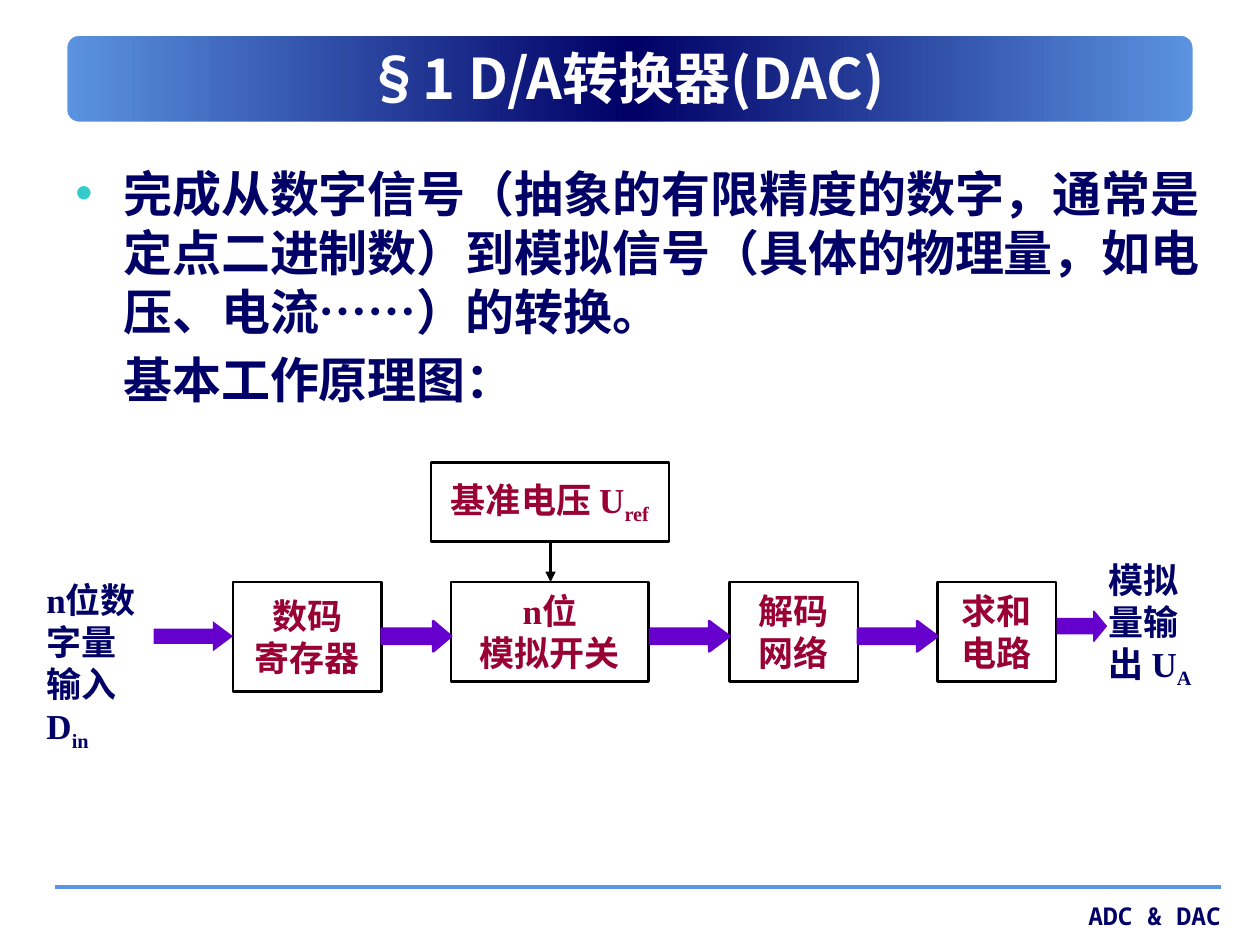
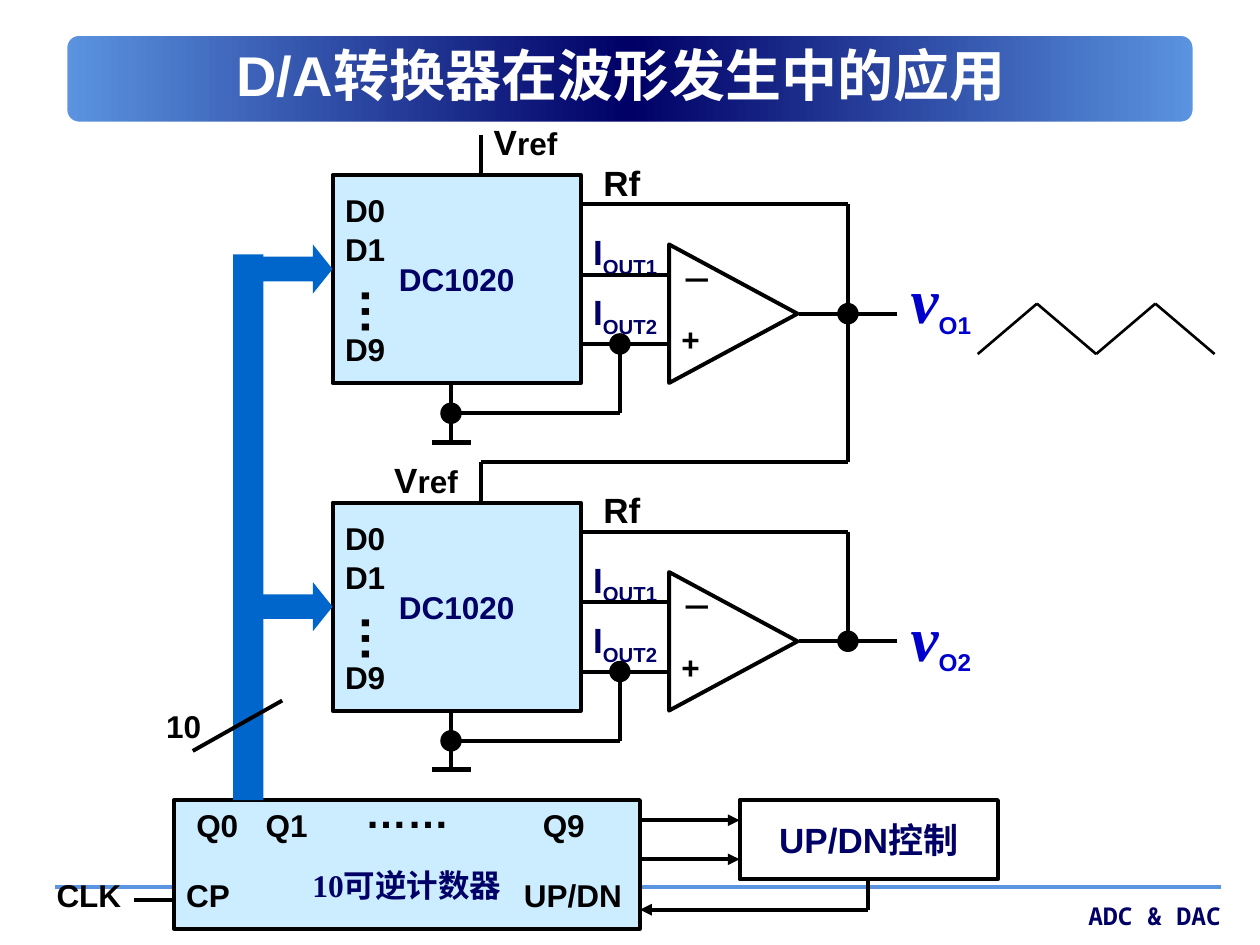
"""Builds two slides about D/A converters: working principle and waveform generation."""
from copy import deepcopy
from itertools import pairwise

from lxml.etree import SubElement
from pptx import Presentation
from pptx.dml.color import RGBColor
from pptx.enum.shapes import MSO_CONNECTOR, MSO_SHAPE
from pptx.enum.text import MSO_ANCHOR, MSO_AUTO_SIZE, PP_ALIGN
from pptx.oxml.ns import qn
from pptx.util import Inches, Pt

COLORS = {
    "navy": "000066",
    "sky": "5B94E1",
    "white": "FFFFFF",
    "black": "000000",
    "bullet": "33CCCC",
    "crimson": "990033",
    "violet": "6600CC",
    "chip": "CCECFF",
    "bus": "0066CC",
    "output": "0000CC",
}
CHINESE_FONT = "Noto Sans CJK SC"
STAGE_STEP = 2.6


def rgb(name):
    return RGBColor.from_string(COLORS[name])


def add_run(paragraph, text, size=18, font="Arial", color="black", italic=False,
            baseline=0, east_asian=CHINESE_FONT):
    run = paragraph.add_run()
    run.text = text
    run.font.size = Pt(size)
    run.font.bold = True
    run.font.italic = italic
    run.font.name = font
    run.font.color.rgb = rgb(color)
    properties = run.font._element
    SubElement(properties, qn("a:ea")).set("typeface", east_asian)
    if baseline:
        properties.set("baseline", str(baseline * 1000))


def write_text(paragraph, text, *more, align=PP_ALIGN.LEFT, **style):
    """Write text and further (text, changes) pieces; a newline breaks the line."""
    paragraph.alignment = align
    for piece, changes in [(text, {}), *more]:
        for index, line in enumerate(piece.split("\n")):
            if index:
                paragraph.add_line_break()
            add_run(paragraph, line, **{**style, **changes})


def add_label(slide, box, text, *more, vertical=False, **style):
    shape = slide.shapes.add_textbox(*map(Inches, box))
    frame = shape.text_frame
    frame.word_wrap = True
    if vertical:
        shape.element.find(".//" + qn("a:bodyPr")).set("vert", "eaVert")
    write_text(frame.paragraphs[0], text, *more, **style)
    return shape


def add_shape(slide, kind, box, fill=None, line=None, width=1.5, adjust=()):
    shape = slide.shapes.add_shape(kind, *map(Inches, box))
    shape.shadow.inherit = False
    if fill:
        shape.fill.solid()
        shape.fill.fore_color.rgb = rgb(fill)
    else:
        shape.fill.background()
    if line:
        shape.line.color.rgb = rgb(line)
        shape.line.width = Pt(width)
    else:
        shape.line.fill.background()
    for index, value in enumerate(adjust):
        shape.adjustments[index] = value
    return shape


def add_block(slide, box, text, *more, fill=None, width=1.5, wrap=True, top=0.05, **style):
    shape = add_shape(slide, MSO_SHAPE.RECTANGLE, box, fill, "black", width)
    frame = shape.text_frame
    frame.word_wrap = wrap
    frame.vertical_anchor = MSO_ANCHOR.MIDDLE
    frame.margin_left = frame.margin_right = 0
    frame.margin_top = Inches(top)
    write_text(frame.paragraphs[0], text, *more, align=PP_ALIGN.CENTER, **style)


def add_arrow(slide, box, color, head, width=0):
    add_shape(slide, MSO_SHAPE.RIGHT_ARROW, box, color, color if width else None,
              width, (0.5, head))


def add_wire(slide, *points, width=2.25, color="black", arrow=False):
    """Join the points with straight lines, the last one with an arrowhead if asked."""
    for start, end in pairwise(points):
        wire = slide.shapes.add_connector(
            MSO_CONNECTOR.STRAIGHT, *map(Inches, (*start, *end)))
        wire.line.color.rgb = rgb(color)
        wire.line.width = Pt(width)
        properties = wire.element.find(qn("p:spPr"))
        if arrow and end == points[-1]:
            SubElement(properties.find(qn("a:ln")), qn("a:tailEnd")).set("type", "triangle")
        SubElement(properties, qn("a:effectLst"))
    return wire


def add_dot(slide, x, y):
    add_shape(slide, MSO_SHAPE.OVAL, (x - 0.08, y - 0.08, 0.16, 0.16), "black", "black", 0.75)


def move_frame_to_layout(slide, layout):
    """Draw the title band, rule and footer, then move them to the shared layout."""
    band = add_shape(slide, MSO_SHAPE.ROUNDED_RECTANGLE, (0.5, 0.25, 9, 0.75),
                     line="white", width=5, adjust=(0.167,))
    band.fill.gradient()
    band.fill.gradient_angle = 0
    stop_list = band.element.find(".//" + qn("a:gsLst"))
    stop_list.insert(1, deepcopy(stop_list[0]))
    for stop, position, color in zip(band.fill.gradient_stops, (0, 0.5, 1),
                                     ("sky", "navy", "sky")):
        stop.position = position
        stop.color.rgb = rgb(color)
    rule = add_wire(slide, (0.44, 7.04), (9.69, 7.04), width=2, color="sky")
    footer = add_label(slide, (7.42, 7.1, 2.37, 0.33), "ADC & DAC", align=PP_ALIGN.RIGHT,
                       size=14, font="Noto Sans Mono", color="navy")
    for shape in (band, rule, footer):
        layout.element.cSld.spTree.append(shape.element)


def set_title(slide, box, text, *more, **style):
    title = slide.shapes.title
    title.left, title.top, title.width, title.height = map(Inches, box)
    frame = title.text_frame
    frame.auto_size = MSO_AUTO_SIZE.NONE
    frame.vertical_anchor = MSO_ANCHOR.MIDDLE
    write_text(frame.paragraphs[0], text, *more, align=PP_ALIGN.CENTER,
               size=32, color="white", **style)


def add_introduction(slide):
    style = {"size": 28, "font": "DejaVu Sans", "color": "navy"}
    body = add_label(
        slide, (0.5, 1.25, 9.25, 2.2),
        "完成从数字信号（抽象的有限精度的数字，通常是定点二进制数）到模拟信号"
        "（具体的物理量，如电压、电流……）的转换。", **style)
    first = body.text_frame.paragraphs[0]
    second = body.text_frame.add_paragraph()
    second.space_before = Pt(5.6)
    write_text(second, "基本工作原理图：", **style)
    indent = Inches(0.38)
    for paragraph in (first, second):
        paragraph._p.get_or_add_pPr().set("marL", str(indent))
    properties = first._p.get_or_add_pPr()
    properties.set("indent", str(-indent))
    bullet_color = SubElement(properties, qn("a:buClr"))
    SubElement(bullet_color, qn("a:srgbClr")).set("val", COLORS["bullet"])
    SubElement(properties, qn("a:buFont")).set("typeface", "Arial")
    SubElement(properties, qn("a:buChar")).set("char", "•")


def build_principle_slide(slide):
    set_title(slide, (0.59, 0.28, 8.75, 0.67), "§1 D/A转换器(DAC)", font=CHINESE_FONT)
    add_introduction(slide)
    style = {"size": 20, "font": "Times New Roman"}
    subscript = {"baseline": -25}
    add_label(slide, (0.27, 4.54, 1.02, 1.43), "n位数字量输入 D", ("in", subscript),
              color="navy", **style)
    add_label(slide, (8.7, 4.38, 1.02, 1.1), "模拟量输出 U", ("A", subscript),
              color="navy", **style)
    add_block(slide, (3.42, 3.67, 1.89, 0.63), "基准电压 U", ("ref", subscript),
              color="crimson", **style)
    for left, width, height, text in (
        (1.85, 1.18, 0.87, "数码\n寄存器"),
        (3.58, 1.57, 0.79, "n位\n模拟开关"),
        (5.79, 1.02, 0.79, "解码\n网络"),
        (7.44, 0.94, 0.79, "求和\n电路"),
    ):
        add_block(slide, (left, 4.62, width, height), text, color="crimson", **style)
    add_wire(slide, (4.37, 4.3), (4.37, 4.62), width=1.5, arrow=True)
    for left, top, width, line in (
        (1.22, 4.93, 0.63, 0),
        (3.03, 4.93, 0.55, 1.5),
        (5.16, 4.93, 0.63, 1.5),
        (6.81, 4.93, 0.63, 1.5),
        (8.39, 4.85, 0.39, 0.75),
    ):
        add_arrow(slide, (left, top, width, 0.24), "violet", round(width / 0.94, 2), line)


def add_converter_stage(slide, offset, output, output_top):
    """Draw one converter chip with its amplifier, offset down the slide."""
    def box(left, top, width, height):
        return left, top + offset, width, height

    def wire(*points, **style):
        add_wire(slide, *((x, y + offset) for x, y in points), **style)

    add_block(slide, box(2.64, 1.39, 1.97, 1.65), "DC1020", fill="chip", width=2.25,
              wrap=False, color="navy")
    for text, top in (("D0", 1.47), ("D1", 1.78), ("D9", 2.57)):
        add_label(slide, box(2.64, top, 0.63, 0.4), text)
    add_label(slide, box(2.64, 2.18, 0.67, 0.55), "…", vertical=True, size=28,
              east_asian="Arial")
    add_label(slide, box(4.69, 1.23, 0.71, 0.43), "Rf", size=20)
    for number, top in ((1, 1.78), (2, 2.26)):
        add_label(slide, box(4.61, top, 0.87, 0.43), "I",
                  (f"OUT{number}", {"baseline": -25}), size=20, color="navy")

    wire((4.61, 1.62), (6.73, 1.62), (6.73, 2.49))
    wire((4.61, 2.18), (5.31, 2.18))
    wire((4.61, 2.73), (5.31, 2.73))
    wire((4.92, 2.73), (4.92, 3.28), (3.58, 3.28))
    wire((3.58, 3.04), (3.58, 3.51))
    wire((3.43, 3.51), (3.74, 3.51), width=3)
    wire((6.34, 2.49), (7.12, 2.49))
    amplifier = add_shape(slide, MSO_SHAPE.ISOSCELES_TRIANGLE, box(5.27, 1.98, 1.1, 1.02),
                          line="black", width=2.25)
    amplifier.rotation = 90
    add_label(slide, box(5.31, 2.02, 0.39, 0.4), "－", font="Times New Roman")
    add_label(slide, box(5.31, 2.49, 0.39, 0.4), "+")
    for x, y in ((3.58, 3.28), (4.92, 2.73), (6.73, 2.49)):
        add_dot(slide, x, y + offset)
    add_label(slide, (7.13, output_top, 0.87, 0.7), "v",
              (output, {"size": 24, "font": "Arial", "italic": False, "baseline": -25}),
              size=36, font="Times New Roman", color="output", italic=True)


def add_counter(slide):
    add_block(slide, (1.38, 6.35, 3.7, 1.02), "10可逆计数器", fill="chip", width=2.25,
              wrap=False, top=0.37, font="Times New Roman", color="navy")
    for text, left, top, width in (
        ("Q0", 1.46, 6.35, 0.63),
        ("Q1", 2.01, 6.35, 0.63),
        ("Q9", 4.21, 6.35, 0.63),
        ("CP", 1.38, 6.9, 0.63),
        ("UP/DN", 4.06, 6.9, 1.02),
        ("CLK", 0.35, 6.9, 0.75),
        ("10", 1.22, 5.56, 0.63),
    ):
        add_label(slide, (left, top, width, 0.4), text)
    add_label(slide, (2.8, 6.19, 1.1, 0.5), "……", size=24, east_asian="Arial")
    add_block(slide, (5.87, 6.35, 2.05, 0.63), "UP/DN控制", width=2.25, wrap=False,
              size=20, color="navy")
    for y in (6.51, 6.82):
        add_wire(slide, (5.08, y), (5.87, y), arrow=True)
    add_wire(slide, (6.89, 6.98), (6.89, 7.22), (5.08, 7.22), arrow=True)
    add_wire(slide, (1.06, 7.14), (1.38, 7.14))


def add_data_bus(slide):
    for top in (1.94, 4.62):
        add_arrow(slide, (2.01, top, 0.63, 0.39), "bus", 0.4)
    add_shape(slide, MSO_SHAPE.RECTANGLE, (1.85, 2.02, 0.24, 4.33), "bus")
    add_wire(slide, (1.53, 5.96), (2.24, 5.56))


def build_waveform_slide(slide):
    set_title(slide, (0.43, 0.24, 9, 0.69), "D/A",
              ("转换器在波形发生中的应用", {"font": "DejaVu Sans"}))
    add_converter_stage(slide, 0, "O1", 2.02)
    add_converter_stage(slide, STAGE_STEP, "O2", 4.7)
    add_wire(slide, (3.82, 1.07), (3.82, 1.39))
    add_wire(slide, (6.73, 2.49), (6.73, 3.67), (3.82, 3.67), (3.82, 3.99))
    for left, top in ((3.82, 0.91), (3.03, 3.59)):
        add_label(slide, (left, top, 0.87, 0.43), "V", ("ref", {"size": 18}), size=20)
    add_counter(slide)
    add_data_bus(slide)
    triangle_wave = [(7.76 + 0.47 * step, 2.41 if step % 2 else 2.81) for step in range(5)]
    add_wire(slide, *triangle_wave, width=1.5)


def main():
    presentation = Presentation()
    presentation.slide_width, presentation.slide_height = Inches(10), Inches(7.5)
    layout = presentation.slide_layouts[5]
    principle = presentation.slides.add_slide(layout)
    move_frame_to_layout(principle, layout)
    build_principle_slide(principle)
    build_waveform_slide(presentation.slides.add_slide(layout))
    presentation.save("out.pptx")


if __name__ == "__main__":
    main()
